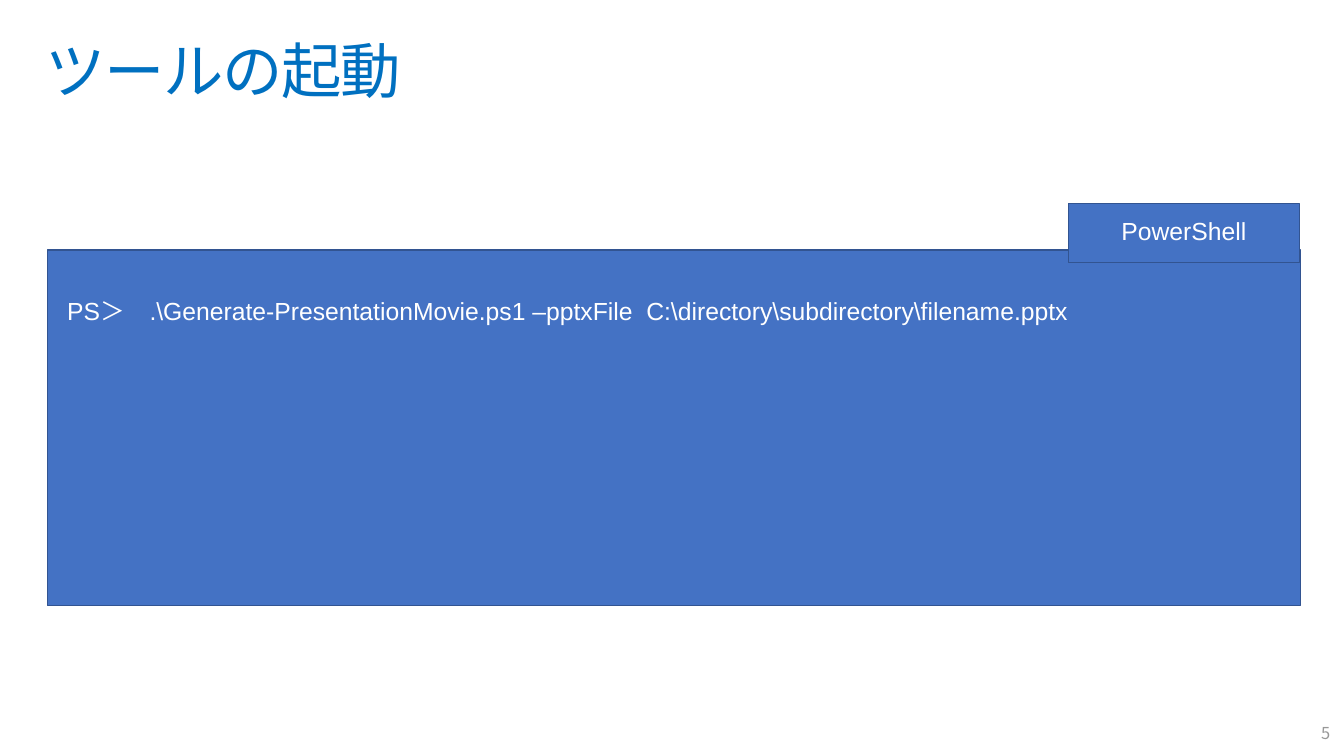
from pptx import Presentation
from pptx.dml.color import RGBColor
from pptx.enum import shapes, text
from pptx.util import Pt

TITLE = "ツールの起動"
SHELL = "PowerShell"
COMMAND = "PS＞\u3000.\\Generate-PresentationMovie.ps1 –pptxFile  C:\\directory\\subdirectory\\filename.pptx".replace("\u3000", "　")
PAGE_NUMBER = "5"

TITLE_BLUE = RGBColor(0x00, 0x70, 0xC0)
PANEL_BLUE = RGBColor(0x44, 0x72, 0xC4)
BORDER_BLUE = RGBColor(0x32, 0x54, 0x91)
WHITE = RGBColor(0xFF, 0xFF, 0xFF)
GREY = RGBColor(0x98, 0x98, 0x98)

LEFT, CENTER, RIGHT = text.PP_ALIGN.LEFT, text.PP_ALIGN.CENTER, text.PP_ALIGN.RIGHT
TOP, MIDDLE = text.MSO_ANCHOR.TOP, text.MSO_ANCHOR.MIDDLE

# left, top, width, height in points
TITLE_AREA = (21.6, 23.04, 936, 59.76)
NUMBER_AREA = (756, 519.12, 220.32, 29.52)
CONSOLE_AREA = (34.56, 182.16, 912.96, 259.2)
LABEL_AREA = (778.32, 148.32, 168.48, 43.2)


def write(box, words, size, color, font="Arial", align=LEFT, anchor=TOP,
          margins=(7.2, 3.6), line_spacing=0.9):
    """Fill a box with one formatted line; margins are (sides, top)."""
    frame = box.text_frame
    frame.word_wrap = True
    frame.vertical_anchor = anchor
    side, top = margins
    frame.margin_left = frame.margin_right = Pt(side)
    frame.margin_top = Pt(top)
    frame.text = words
    para = frame.paragraphs[0]
    para.alignment = align
    para.line_spacing = line_spacing
    span = para.runs[0]
    span.font.name = font
    span.font.size = Pt(size)
    span.font.color.rgb = color
    return span


def add_panel(page, area):
    panel = page.shapes.add_shape(shapes.MSO_SHAPE.RECTANGLE, *map(Pt, area))
    panel.shadow.inherit = False
    panel.fill.solid()
    panel.fill.fore_color.rgb = PANEL_BLUE
    panel.line.color.rgb = BORDER_BLUE
    panel.line.width = Pt(0.85)
    return panel


def main():
    deck = Presentation()
    deck.slide_width, deck.slide_height = Pt(979.2), Pt(550.8)
    page = deck.slides.add_slide(deck.slide_layouts[6])

    title = page.shapes.add_textbox(*map(Pt, TITLE_AREA))
    span = write(title, TITLE, 44, TITLE_BLUE, margins=(11.52, 7.2))
    span._r.get_or_add_rPr().set("spc", "-100")

    number = page.shapes.add_textbox(*map(Pt, NUMBER_AREA))
    write(number, PAGE_NUMBER, 12, GREY, "Noto Sans CJK JP", RIGHT, MIDDLE,
          line_spacing=1.0)

    # The command starts one line below the top of the console
    write(add_panel(page, CONSOLE_AREA), COMMAND, 18, WHITE, margins=(14.4, 36))
    write(add_panel(page, LABEL_AREA), SHELL, 18, WHITE, align=CENTER,
          margins=(14.4, 11.52))

    deck.save("out.pptx")


if __name__ == "__main__":
    main()
